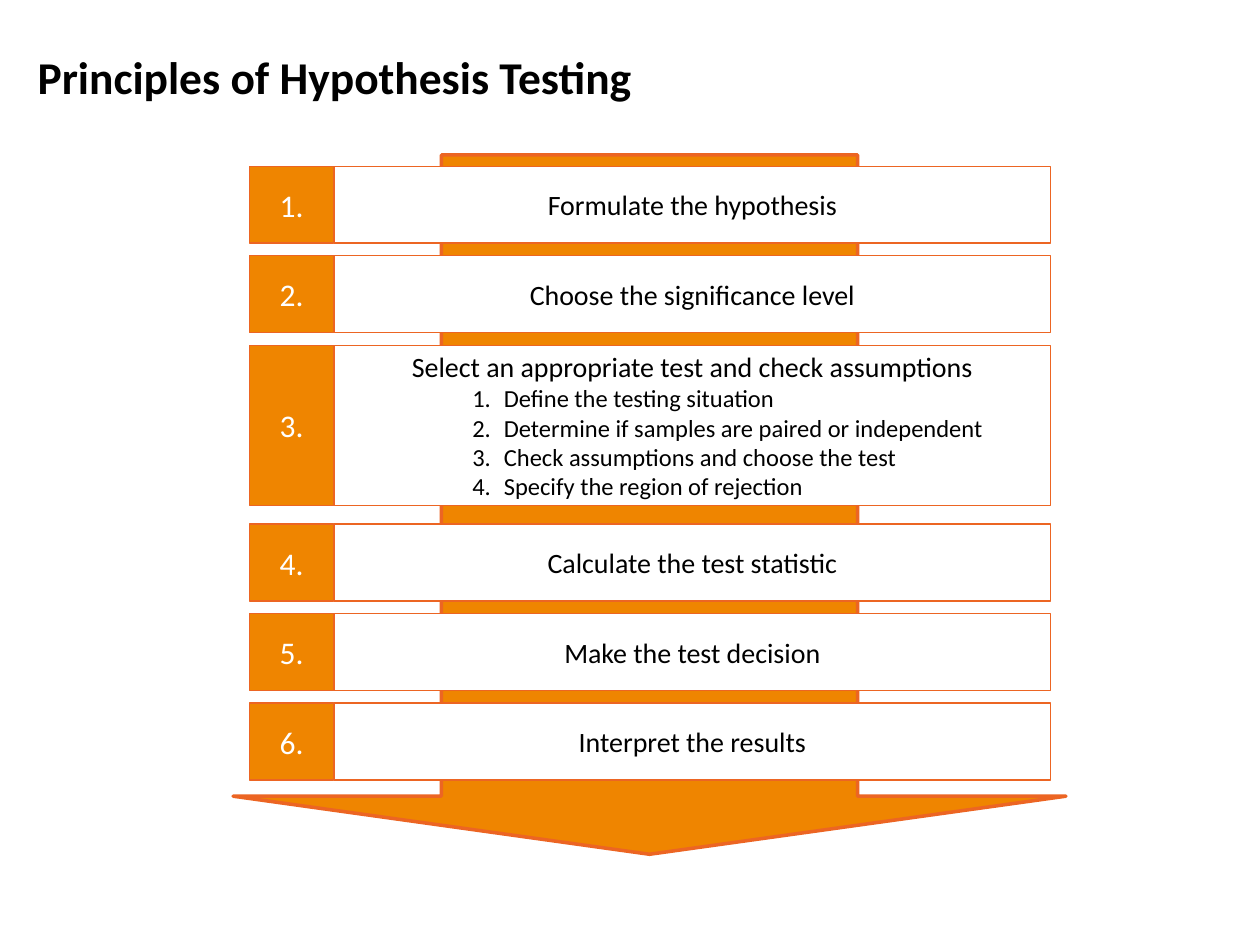
"""Build a slide showing the six steps of hypothesis testing along a down arrow."""
from lxml import etree
from pptx import Presentation
from pptx.dml.color import RGBColor
from pptx.enum import shapes, text
from pptx.oxml.ns import qn
from pptx.util import Inches, Pt

TITLE = "Principles of Hypothesis Testing"
STEPS = [
    ("Formulate the hypothesis", []),
    ("Choose the significance level", []),
    ("Select an appropriate test and check assumptions", [
        "Define the testing situation",
        "Determine if samples are paired or independent",
        "Check assumptions and choose the test",
        "Specify the region of rejection",
    ]),
    ("Calculate the test statistic", []),
    ("Make the test decision", []),
    ("Interpret the results", []),
]
COLORS = {"orange": "EF8500", "edge": "EC6523", "white": "FFFFFF", "black": "000000"}
FONT = "Calibri"
LEFT, TOP, PITCH = 1.98, 1.32, 0.71
NUMBER_W, STEP_W = 0.67, 5.69
ROW_H, DETAIL_H = 0.61, 1.27


def rgb(name):
    return RGBColor.from_string(COLORS[name])


def add_text(p, words, size, color, bold=False):
    r = p.add_run()
    r.text = words
    r.font.name, r.font.size, r.font.bold = FONT, Pt(size), bold
    r.font.color.rgb = rgb(color)


def add_box(s, kind, box, fill, width):
    sp = s.shapes.add_shape(kind, *map(Inches, box))
    sp.shadow.inherit = False
    sp.fill.solid()
    sp.fill.fore_color.rgb = rgb(fill)
    sp.line.color.rgb = rgb("edge")
    sp.line.width = Pt(width)
    return sp


def add_cell(s, box, fill, words, size, color):
    sp = add_box(s, shapes.MSO_SHAPE.RECTANGLE, box, fill, 0.75)
    tf = sp.text_frame
    tf.word_wrap = True
    tf.vertical_anchor = text.MSO_ANCHOR.MIDDLE
    p = tf.paragraphs[0]
    p.alignment = text.PP_ALIGN.CENTER
    add_text(p, words, size, color)
    return tf


def add_numbered(tf, words):
    p = tf.add_paragraph()
    p.level = 2
    p.alignment = text.PP_ALIGN.LEFT
    add_text(p, words, 14, "black")
    pPr = p._p.get_or_add_pPr()
    pPr.set("marL", str(Inches(1.25)))
    pPr.set("indent", str(Inches(-0.25)))
    etree.SubElement(pPr, qn("a:buFont"), typeface="+mj-lt")
    etree.SubElement(pPr, qn("a:buAutoNum"), type="arabicPeriod")


def main():
    prs = Presentation()
    prs.slide_width, prs.slide_height = Inches(10), Inches(7.5)
    s = prs.slides.add_slide(prs.slide_layouts[6])

    tf = s.shapes.add_textbox(*map(Inches, (0.2, 0.14, 9.61, 0.93))).text_frame
    tf.word_wrap = True
    tf.vertical_anchor = text.MSO_ANCHOR.MIDDLE
    add_text(tf.paragraphs[0], TITLE, 26, "black", bold=True)

    arrow = add_box(s, shapes.MSO_SHAPE.DOWN_ARROW, (1.85, 1.23, 6.61, 5.55), "orange", 2)
    arrow.adjustments[0], arrow.adjustments[1] = 0.5, 0.083

    slot = 0
    for number, (step, details) in enumerate(STEPS, 1):
        y = TOP + slot * PITCH
        h = DETAIL_H if details else ROW_H
        tf = add_cell(s, (LEFT + NUMBER_W, y, STEP_W, h), "white", step, 16, "black")
        for detail in details:
            add_numbered(tf, detail)
        add_cell(s, (LEFT, y, NUMBER_W, h), "orange", f"{number}.", 18, "white")
        slot += 2 if details else 1

    prs.save("out.pptx")


if __name__ == "__main__":
    main()
